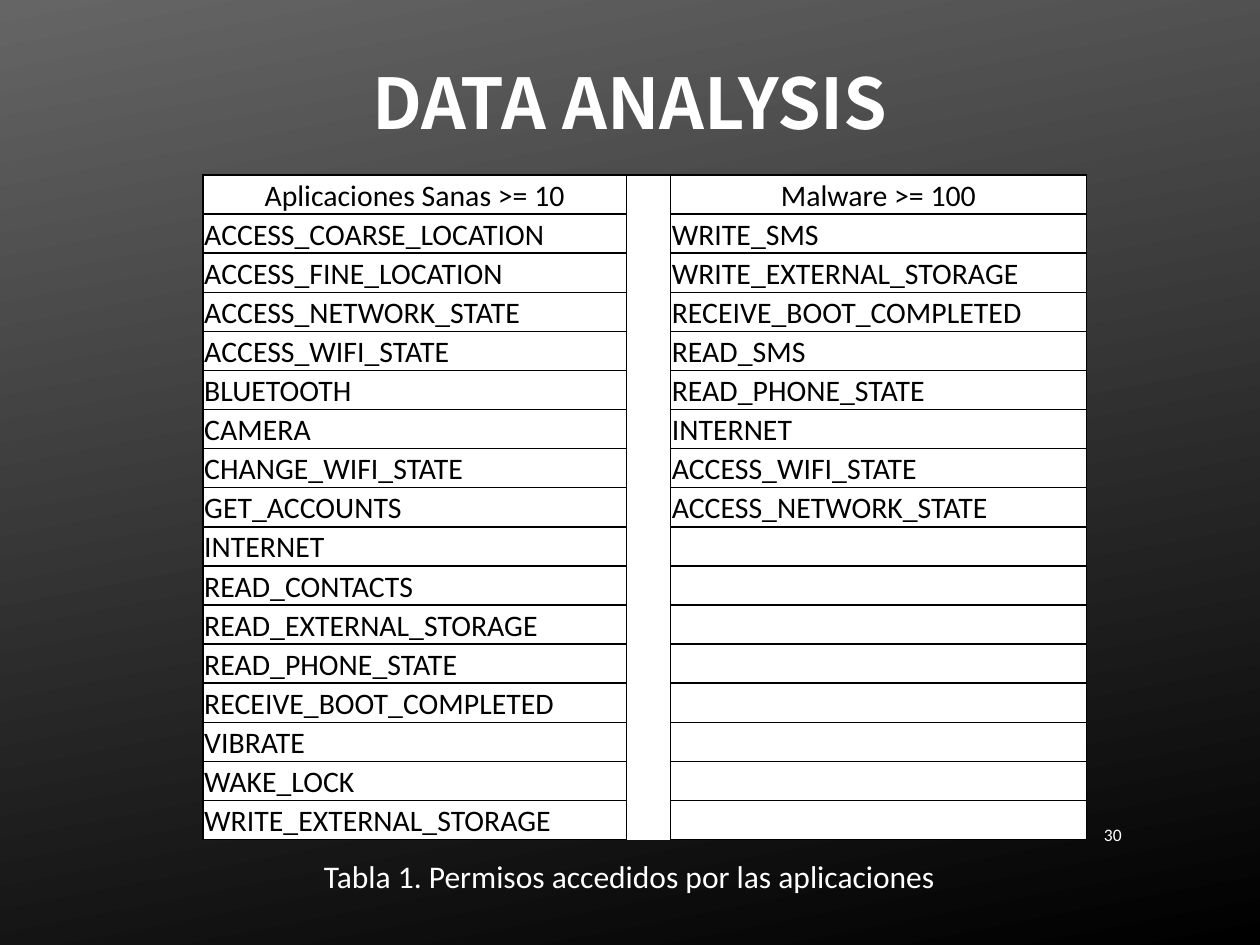
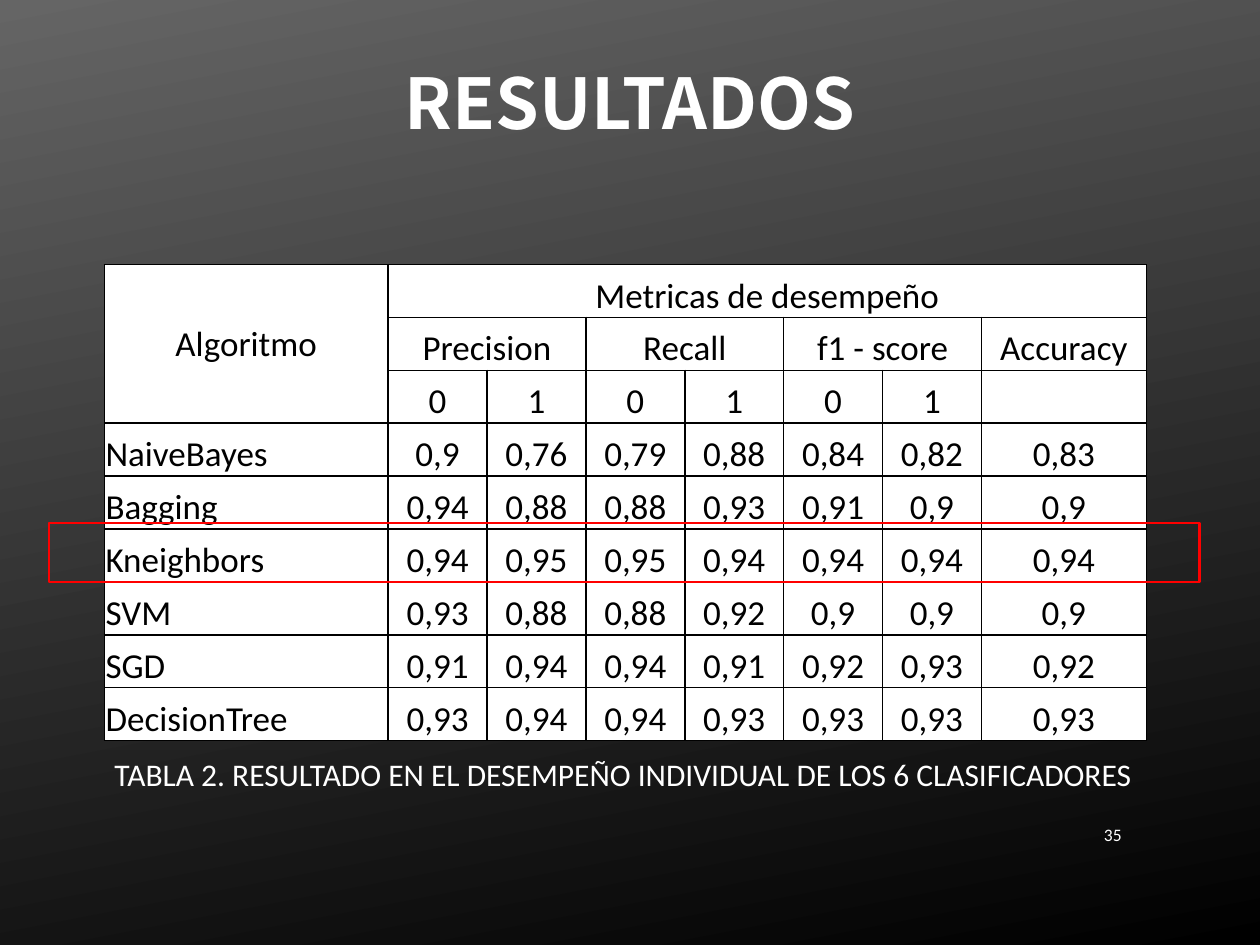
from lxml.etree import SubElement
from pptx import Presentation
from pptx.dml.color import RGBColor
from pptx.enum.shapes import MSO_SHAPE
from pptx.enum.text import MSO_ANCHOR, PP_ALIGN
from pptx.oxml.ns import qn
from pptx.util import Pt

COLORS = {
    "text": "FFFFFF",
    "cell": "FFFFFF",
    "ink": "000000",
    "top": "656565",
    "bottom": "000000",
    "highlight": "FF0000",
}
BODY_FONT = "Calibri"
TITLE_FONT = "Noto Sans CJK SC"
CELL_INSET = Pt(0.72)
ALL_SIDES = "LRTB"


def color(name):
    return RGBColor.from_string(COLORS[name])


def write(frame, text, size=18, font=BODY_FONT, ink="text", bold=False,
          align=PP_ALIGN.LEFT, anchor=MSO_ANCHOR.TOP):
    """Put one formatted paragraph into a text frame or a table cell."""
    frame.vertical_anchor = anchor
    para = getattr(frame, "text_frame", frame).paragraphs[0]
    para.alignment = align
    if not text:
        # An empty line keeps the height of its neighbours
        SubElement(para._p, qn("a:endParaRPr"), sz=str(size * 100))
        return
    span = para.add_run()
    span.text = text
    span.font.name = font
    span.font.size = Pt(size)
    span.font.bold = bold
    span.font.color.rgb = color(ink)


def draw_borders(cell, sides):
    properties = cell._tc.get_or_add_tcPr()
    for side in ALL_SIDES:
        line = SubElement(properties, qn(f"a:ln{side}"), w=str(Pt(1)))
        if side in sides:
            fill = SubElement(line, qn("a:solidFill"))
            SubElement(fill, qn("a:srgbClr"), val=COLORS["ink"])
        else:
            SubElement(line, qn("a:noFill"))


class Slides:
    """Shared style and the page being built."""

    def __init__(self):
        self.deck = Presentation()
        self.deck.slide_width, self.deck.slide_height = Pt(720), Pt(540)
        self.page = None

    def new_page(self):
        self.page = self.deck.slides.add_slide(self.deck.slide_layouts[6])
        fill = self.page.background.fill
        fill.gradient()
        fill.gradient_angle = 360 - 79
        for stop, position, name in zip(fill.gradient_stops, (0, 1), ("top", "bottom")):
            stop.position = position
            stop.color.rgb = color(name)

    def text(self, text, left, top, width, height, wrap=True, **style):
        box = self.page.shapes.add_textbox(Pt(left), Pt(top), Pt(width), Pt(height))
        box.text_frame.word_wrap = wrap
        write(box.text_frame, text, **style)

    def title(self, text):
        self.text(text, 0, 0.72, 720, 114.5, size=40, font=TITLE_FONT, bold=True,
                  align=PP_ALIGN.CENTER, anchor=MSO_ANCHOR.MIDDLE)

    def number(self, value):
        self.text(str(value), 614.9, 462.2, 33.1, 29.5, size=10,
                  align=PP_ALIGN.RIGHT, anchor=MSO_ANCHOR.MIDDLE)

    def table(self, rows, left, top, widths, row_height, size, is_centered,
              merges=(), gap_column=None):
        frame = self.page.shapes.add_table(
            len(rows), len(widths), Pt(left), Pt(top),
            Pt(sum(widths)), Pt(row_height * len(rows)))
        table = frame.table
        table.first_row = table.horz_banding = False
        for column, width in zip(table.columns, widths):
            column.width = Pt(width)
        for r, values in enumerate(rows):
            table.rows[r].height = Pt(row_height)
            for c, value in enumerate(values):
                cell = table.cell(r, c)
                sides = ALL_SIDES
                if c == gap_column:
                    sides = "LR" if r else "LRT"
                draw_borders(cell, sides)
                cell.fill.solid()
                cell.fill.fore_color.rgb = color("cell")
                cell.margin_left = cell.margin_right = cell.margin_top = CELL_INSET
                cell.margin_bottom = 0
                align = PP_ALIGN.CENTER if is_centered(r, c) else PP_ALIGN.LEFT
                write(cell, value, size=size, ink="ink", align=align,
                      anchor=MSO_ANCHOR.BOTTOM)
        for first, last in merges:
            table.cell(*first).merge(table.cell(*last))
        return table

    def outline(self, left, top, width, height):
        frame = self.page.shapes.add_shape(
            MSO_SHAPE.RECTANGLE, Pt(left), Pt(top), Pt(width), Pt(height))
        frame.shadow.inherit = False
        frame.fill.background()
        frame.line.color.rgb = color("highlight")
        frame.line.width = Pt(1.5)


HEALTHY_PERMISSIONS = [
    "ACCESS_COARSE_LOCATION", "ACCESS_FINE_LOCATION", "ACCESS_NETWORK_STATE",
    "ACCESS_WIFI_STATE", "BLUETOOTH", "CAMERA", "CHANGE_WIFI_STATE",
    "GET_ACCOUNTS", "INTERNET", "READ_CONTACTS", "READ_EXTERNAL_STORAGE",
    "READ_PHONE_STATE", "RECEIVE_BOOT_COMPLETED", "VIBRATE", "WAKE_LOCK",
    "WRITE_EXTERNAL_STORAGE",
]
MALWARE_PERMISSIONS = [
    "WRITE_SMS", "WRITE_EXTERNAL_STORAGE", "RECEIVE_BOOT_COMPLETED", "READ_SMS",
    "READ_PHONE_STATE", "INTERNET", "ACCESS_WIFI_STATE", "ACCESS_NETWORK_STATE",
]
SCORES = [
    ["NaiveBayes", "0,9", "0,76", "0,79", "0,88", "0,84", "0,82", "0,83"],
    ["Bagging", "0,94", "0,88", "0,88", "0,93", "0,91", "0,9", "0,9"],
    ["Kneighbors", "0,94", "0,95", "0,95", "0,94", "0,94", "0,94", "0,94"],
    ["SVM", "0,93", "0,88", "0,88", "0,92", "0,9", "0,9", "0,9"],
    ["SGD", "0,91", "0,94", "0,94", "0,91", "0,92", "0,93", "0,92"],
    ["DecisionTree", "0,93", "0,94", "0,94", "0,93", "0,93", "0,93", "0,93"],
]


def permissions_page(slides):
    slides.new_page()
    slides.number(30)
    padding = [""] * (len(HEALTHY_PERMISSIONS) - len(MALWARE_PERMISSIONS))
    rows = [["Aplicaciones Sanas >= 10", "", "Malware >= 100"]]
    rows += [[healthy, "", malware] for healthy, malware
             in zip(HEALTHY_PERMISSIONS, MALWARE_PERMISSIONS + padding)]
    slides.table(rows, 116, 100, [242, 25.2, 237.6], 22.36, 17,
                 is_centered=lambda r, c: r == 0, gap_column=1)
    slides.text("Tabla 1. Permisos accedidos por las aplicaciones",
                -1.4, 486, 722, 29, align=PP_ALIGN.CENTER)
    slides.title("DATA ANALYSIS")


def results_page(slides):
    slides.new_page()
    header = [
        ["Algoritmo", "Metricas de desempeño"] + [""] * 6,
        ["", "Precision", "", "Recall", "", "f1 - score", "", "Accuracy"],
        [""] + ["0", "1"] * 3 + [""],
    ]
    merges = [((0, 0), (2, 0)), ((0, 1), (0, 7))]
    merges += [((1, c), (1, c + 1)) for c in (1, 3, 5)]
    table = slides.table(header + SCORES, 59.6, 151.2, [162.2] + [56.5] * 6 + [94.3],
                         30.24, 20, is_centered=lambda r, c: r < len(header) or c > 0,
                         merges=merges)
    table.cell(0, 0).vertical_anchor = MSO_ANCHOR.MIDDLE
    slides.text("TABLA 2. RESULTADO EN EL DESEMPEÑO INDIVIDUAL DE LOS 6 CLASIFICADORES",
                58.3, 427.7, 602, 29, wrap=False)
    slides.number(35)
    slides.title("RESULTADOS")
    # Best classifier
    slides.outline(28.1, 298.8, 657.4, 33.8)


def main():
    slides = Slides()
    permissions_page(slides)
    results_page(slides)
    slides.deck.save("out.pptx")


if __name__ == "__main__":
    main()
